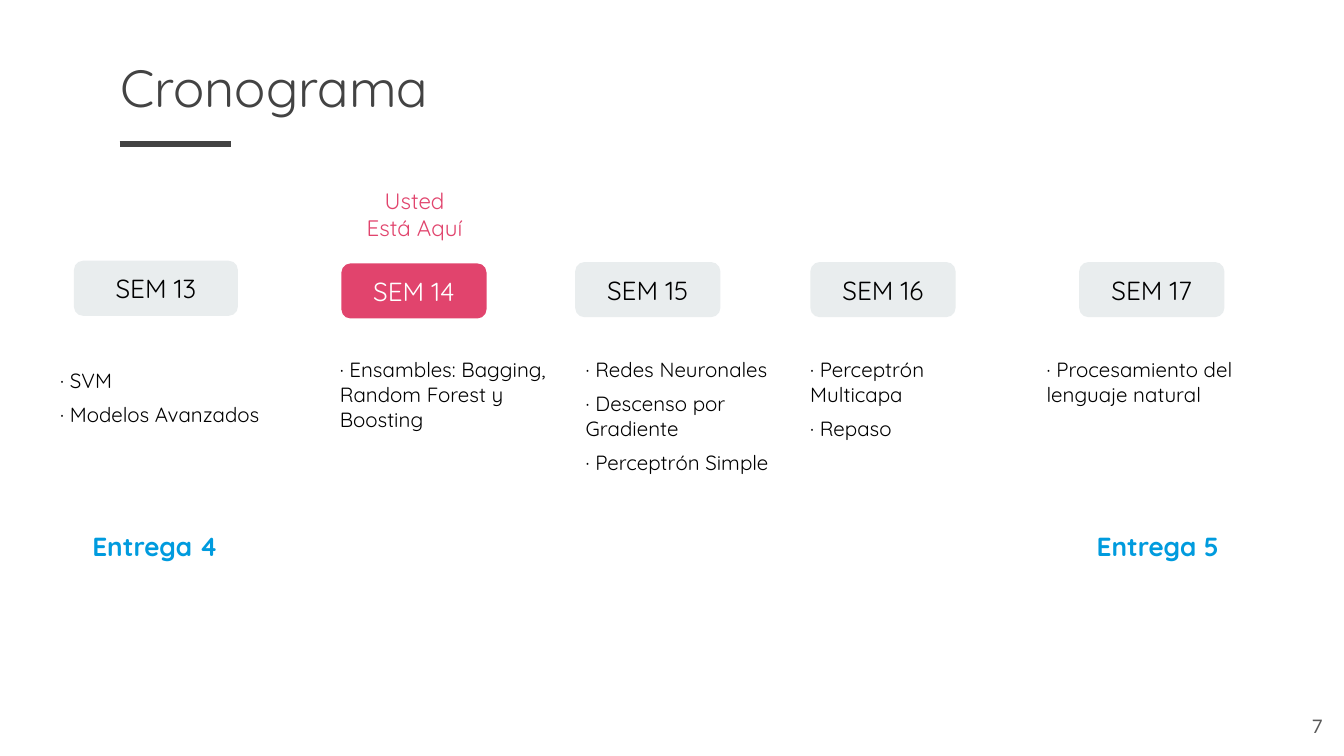
"""Build the course schedule slide."""
from lxml import etree
from pptx import Presentation
from pptx.dml.color import RGBColor
from pptx.enum.shapes import MSO_CONNECTOR as Line, MSO_SHAPE as Shape
from pptx.enum.text import MSO_ANCHOR as Anchor, PP_ALIGN as Align
from pptx.oxml.ns import qn
from pptx.util import Inches, Pt

BLACK, WHITE, DARK, GRAY = "000000", "FFFFFF", "434343", "595959"
PALE, PINK, BLUE = "E9EDEE", "E1446D", "009BDE"

# label, (left, top, width) of tag, (left, top, width) of list, topics
WEEKS = [
    ("SEM 13", (0.55, 1.94, 1.22), (0.35, 2.64, 1.77),
     ["SVM", "Modelos Avanzados"]),
    ("SEM 14", (2.54, 1.96, 1.08), (2.43, 2.56, 1.77),
     ["Ensambles: Bagging, Random Forest y Boosting"]),
    ("SEM 15", (4.28, 1.95, 1.08), (4.26, 2.56, 1.77),
     ["Redes Neuronales", "Descenso por Gradiente", "Perceptrón Simple"]),
    ("SEM 16", (6.03, 1.95, 1.08), (5.93, 2.56, 1.77),
     ["Perceptrón Multicapa", "Repaso"]),
    ("SEM 17", (8.03, 1.95, 1.08), (7.69, 2.56, 2),
     ["Procesamiento del lenguaje natural"]),
]
NOW = "SEM 14"
DUE = [("Entrega 4", 0.49), ("Entrega 5", 7.95)]


def color(code):
    return RGBColor.from_string(code)


def write(shape, *lines, size=14, ink=BLACK, font="Quicksand", bold=False,
          align=Align.CENTER, anchor=Anchor.MIDDLE):
    frame = shape.text_frame
    frame.word_wrap = True
    frame.vertical_anchor = anchor
    frame.margin_left = frame.margin_right = Inches(0.1)
    frame.margin_top = frame.margin_bottom = Inches(0.1)
    for i, line in enumerate(lines):
        para = frame.add_paragraph() if i else frame.paragraphs[0]
        para.alignment = align
        if i:
            para.space_before = Pt(5)
        run = para.add_run()
        run.text = line
        run.font.name, run.font.size = font, Pt(size)
        run.font.bold = bold
        run.font.color.rgb = color(ink)


def main():
    deck = Presentation()
    deck.slide_width = Inches(10)
    deck.slide_height = deck.slide_width * 9 // 16
    shapes = deck.slides.add_slide(deck.slide_layouts[6]).shapes

    def box(*place):
        return shapes.add_textbox(*map(Inches, place))

    write(box(0.8, 0.31, 7.38, 0.59), "Cronograma", size=28, ink=DARK,
          align=Align.LEFT, anchor=Anchor.TOP)
    rule = shapes.add_connector(
        Line.STRAIGHT, *map(Inches, (0.89, 1.07, 1.72, 1.07)))
    rule.line.color.rgb = color(DARK)
    rule.line.width = Pt(3)
    etree.SubElement(rule._element.spPr, qn("a:effectLst"))

    write(box(2.6, 1.3, 0.97, 0.59), "Usted Está Aquí", size=12, ink=PINK,
          anchor=Anchor.BOTTOM)
    for label, tag, area, topics in WEEKS:
        here = label == NOW
        card = shapes.add_shape(Shape.ROUNDED_RECTANGLE,
                                *map(Inches, (*tag, 0.41)))
        card.shadow.inherit = False
        card.fill.solid()
        card.fill.fore_color.rgb = color(PINK if here else PALE)
        card.line.fill.background()
        write(card, label, ink=WHITE if here else BLACK)
        write(box(*area, 1.36), *[f"· {topic}" for topic in topics], size=11,
              align=Align.LEFT, anchor=Anchor.TOP)

    for label, left in DUE:
        write(box(left, 3.87, 1.33, 0.41), label, ink=BLUE, bold=True,
              anchor=Anchor.BOTTOM)
    write(box(9.34, 5.19, 0.6, 0.43), "7", size=10, ink=GRAY, font="Lato",
          align=Align.RIGHT)
    deck.save("out.pptx")


if __name__ == "__main__":
    main()
